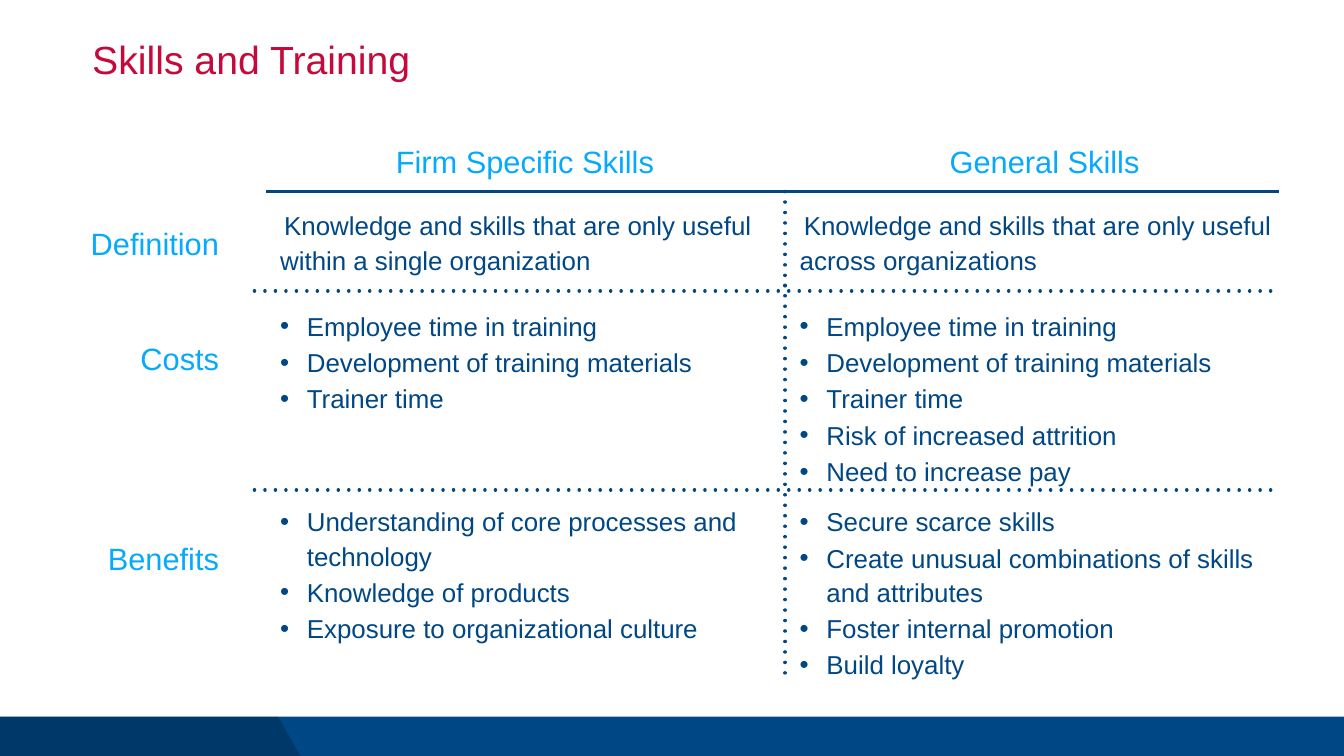
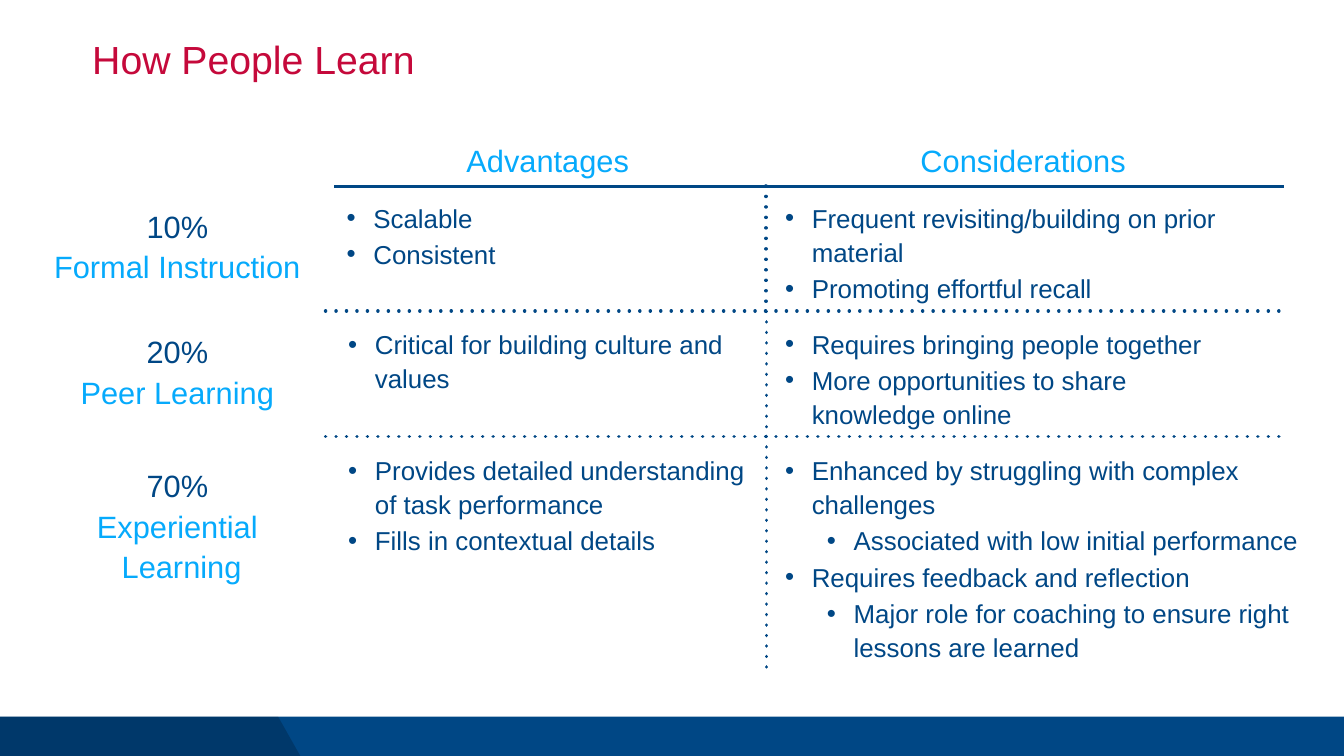
from lxml import etree
from pptx import Presentation
from pptx.dml.color import RGBColor
from pptx.enum import shapes, text
from pptx.oxml.ns import qn
from pptx.util import Inches, Pt

NAVY = RGBColor(0x00, 0x47, 0x85)
SKY = RGBColor(0x06, 0xAA, 0xFC)
RED = RGBColor(0xC5, 0x09, 0x3B)
BLACK = RGBColor(0, 0, 0)
FONT = "Arial"
LEFT, MID, RIGHT = text.PP_ALIGN.LEFT, text.PP_ALIGN.CENTER, text.PP_ALIGN.RIGHT
INDENT = {0: (0, 0.08), 1: (0.53, -0.53), 2: (1.36, -0.53)}


def put(slide, box, lines, size, align=LEFT, center=True, before=0, lead=1.1):
    """Add a text box; each line is (words, colour, indent level or None)."""
    frame = slide.shapes.add_textbox(*map(Inches, box)).text_frame
    frame.word_wrap = True
    frame.margin_left = frame.margin_right = 0
    frame.margin_top = frame.margin_bottom = 0
    frame.vertical_anchor = text.MSO_ANCHOR.MIDDLE if center else text.MSO_ANCHOR.TOP
    for i, (words, color, level) in enumerate(lines):
        para = frame.add_paragraph() if i else frame.paragraphs[0]
        para.alignment = align
        para.line_spacing = lead
        para.space_before = Pt(before)
        run = para.add_run()
        run.text = words
        run.font.name = FONT
        run.font.size = Pt(size)
        run.font.color.rgb = color
        if level is not None:
            props = para._p.get_or_add_pPr()
            left, first = INDENT[level]
            props.set("marL", str(Inches(left)))
            props.set("indent", str(Inches(first)))
            if level:
                etree.SubElement(props, qn("a:buFont")).set("typeface", FONT)
                etree.SubElement(props, qn("a:buChar")).set("char", "•")


def rule(slide, x1, y1, x2, y2, dotted=True):
    line = slide.shapes.add_connector(
        shapes.MSO_CONNECTOR.STRAIGHT, *map(Inches, (x1, y1, x2, y2)))
    line.line.color.rgb = NAVY
    line.line.width = Pt(5)
    if dotted:
        stroke = line.line._get_or_add_ln()
        stroke.set("cap", "rnd")
        dash = etree.SubElement(stroke, qn("a:custDash"))
        dot = etree.SubElement(dash, qn("a:ds"))
        dot.set("d", "1000")
        dot.set("sp", "299000")
    etree.SubElement(line._element.spPr, qn("a:effectLst"))


# Cells are (box, lines); a line is a text or a (text, level) pair.
SKILLS = {
    "title": "Skills and Training",
    "heads": [((5.56, 2.56, 9.72, 1.21), "Firm Specific Skills"),
              ((15.87, 2.56, 9.72, 1.21), "General Skills")],
    "bar": (5.28, 3.8, 25.39, 3.8),
    "dots": [(5.05, 5.77, 25.34, 5.77), (5.05, 9.72, 25.36, 9.72),
             (15.58, 3.8, 15.58, 5.78), (15.58, 5.66, 15.58, 13.45)],
    "align": RIGHT,
    "before": 30,
    "labels": [((0.88, 3.88, 3.47, 1.81), ["Definition"]),
               ((0.88, 6.1, 3.47, 1.96), ["Costs"]),
               ((0.88, 9.98, 3.47, 2.1), ["Benefits"])],
    "cells": [
        ((5.56, 3.88, 9.72, 1.81),
         [("Knowledge and skills that are only useful within a single organization", 0)]),
        ((15.87, 3.88, 9.72, 1.81),
         [("Knowledge and skills that are only useful across organizations", 0)]),
        ((5.56, 6.1, 9.72, 3.47),
         ["Employee time in training", "Development of training materials",
          "Trainer time"]),
        ((15.87, 6.1, 9.72, 3.47),
         ["Employee time in training", "Development of training materials",
          "Trainer time", "Risk of increased attrition", "Need to increase pay"]),
        ((5.56, 9.98, 9.72, 3.47),
         ["Understanding of core processes and technology",
          "Knowledge of products", "Exposure to organizational culture"]),
        ((15.87, 9.98, 9.72, 3.47),
         ["Secure scarce skills",
          "Create unusual combinations of skills and attributes",
          "Foster internal promotion", "Build loyalty"]),
    ],
}
LEARN = {
    "title": "How People Learn",
    "heads": [((6.91, 2.53, 7.92, 1.21), "Advantages"),
              ((15.79, 2.53, 9.03, 1.21), "Considerations")],
    "bar": (6.63, 3.7, 25.47, 3.7),
    "dots": [(6.46, 6.17, 25.5, 6.17), (6.46, 8.66, 25.5, 8.66),
             (15.2, 3.69, 15.2, 6), (15.21, 6.18, 15.21, 8.49),
             (15.21, 8.66, 15.21, 13.44)],
    "align": MID,
    "before": 0,
    "labels": [((0.88, 3.94, 5.28, 1.81), ["10%", "Formal Instruction"]),
               ((0.88, 6.43, 5.28, 1.81), ["20%", "Peer Learning"]),
               ((0.88, 8.93, 5.28, 2.94), ["70%", "Experiential", " Learning"])],
    "cells": [
        ((6.88, 3.95, 7.92, 2.08), ["Scalable", "Consistent"]),
        ((15.58, 3.95, 9.45, 2.08),
         ["Frequent revisiting/building on prior material",
          "Promoting effortful recall"]),
        ((6.91, 6.46, 7.92, 2.08), ["Critical for building culture and values"]),
        ((15.58, 6.45, 9.03, 2.08),
         ["Requires bringing people together",
          "More opportunities to share knowledge online"]),
        ((6.91, 8.96, 7.92, 4.17),
         ["Provides detailed understanding of task performance",
          "Fills in contextual details"]),
        ((15.58, 8.96, 10.44, 4.17),
         ["Enhanced by struggling with complex challenges",
          ("Associated with low initial performance", 2),
          "Requires feedback and reflection",
          ("Major role for coaching to ensure right lessons are learned", 2)]),
    ],
}

deck = Presentation()
deck.slide_width, deck.slide_height = Inches(26.67), Inches(15)

for page in (SKILLS, LEARN):
    slide = deck.slides.add_slide(deck.slide_layouts[6])

    # Footer band with its darker slanted end
    band = slide.shapes.add_shape(
        shapes.MSO_SHAPE.RECTANGLE, *map(Inches, (0, 14.22, 26.67, 0.84)))
    pen = slide.shapes.build_freeform(0, Inches(14.22))
    pen.add_line_segments([(Inches(x), Inches(y)) for x, y in
                           ((5.52, 14.22), (6, 15.07), (0, 15.07))])
    slant = pen.convert_to_shape()
    for shape, color in ((band, NAVY), (slant, BLACK)):
        shape.shadow.inherit = False
        shape.fill.solid()
        shape.fill.fore_color.rgb = color
        shape.line.fill.background()
    tint = slant._element.spPr.find(".//" + qn("a:srgbClr"))
    etree.SubElement(tint, qn("a:alpha")).set("val", "20000")

    put(slide, (1.83, 0.8, 23, 1.05), [(page["title"], RED, None)], 56,
        center=False, lead=0.9)
    for box, head in page["heads"]:
        put(slide, box, [(head, SKY, None)], 44, MID, before=30)
    rule(slide, *page["bar"], dotted=False)
    for ends in page["dots"]:
        rule(slide, *ends)
    for box, words in page["labels"]:
        lines = [(word, NAVY if "%" in word else SKY, None) for word in words]
        put(slide, box, lines, 44, page["align"], before=page["before"])
    for box, items in page["cells"]:
        pairs = [(item, 1) if isinstance(item, str) else item for item in items]
        plain = pairs[0][1] == 0
        put(slide, box, [(words, NAVY, level) for words, level in pairs], 37,
            center=plain, before=30 if plain else 3)

deck.save("out.pptx")
